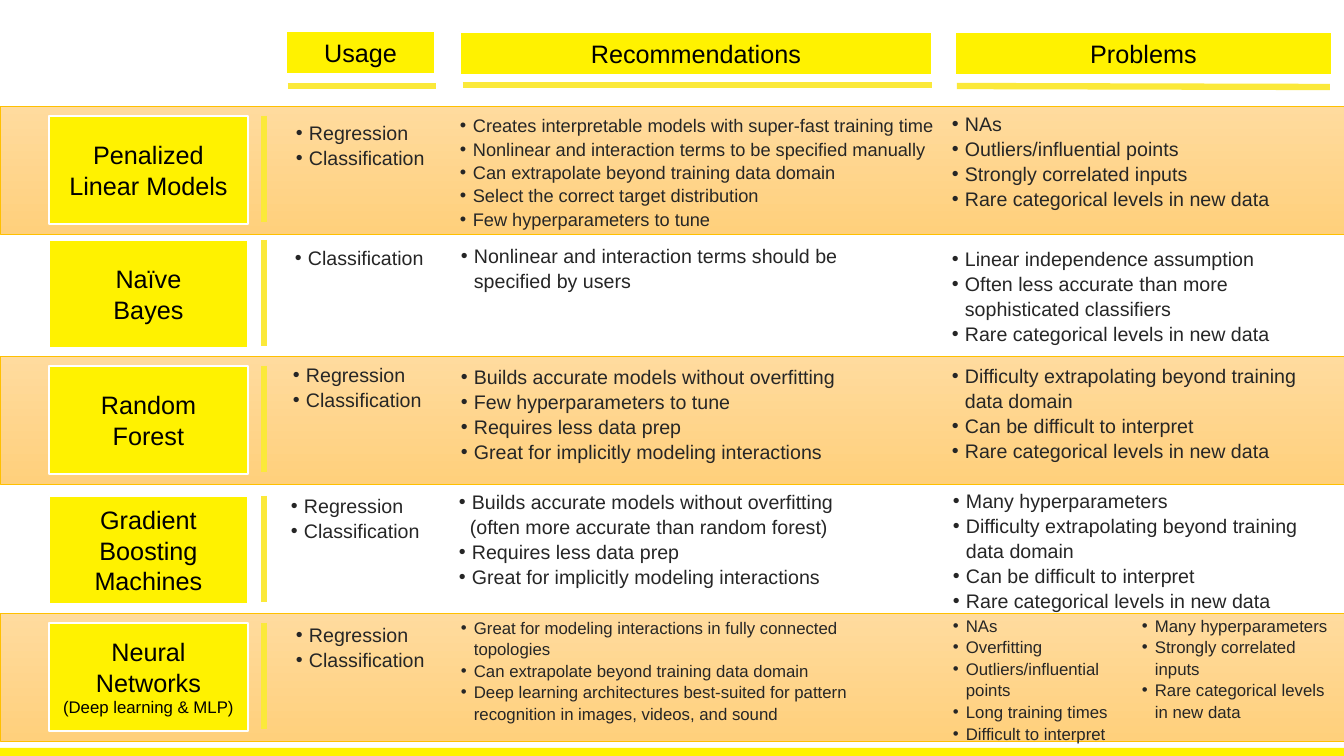
from lxml import etree
from pptx import Presentation, util as u
from pptx.dml.color import RGBColor
from pptx.enum import shapes, text
from pptx.oxml.ns import qn

SCALE = 914400 / 100.8
YELLOW, RULE, INK = "FFF200", "FBE93A", "262626"
RARE = "Rare categorical levels in new data"
EXTRAPOLATING = "Difficulty extrapolating beyond training data domain"
INTERPRET = "Can be difficult to interpret"
ACCURATE = "Builds accurate models without overfitting"
IMPLICIT = "Great for implicitly modeling interactions"
BOTH = ["Regression", "Classification"]


def px(value):
    return u.Emu(round(value * SCALE))


def color(value):
    return RGBColor.from_string(value)


class Sheet:
    font = "Arial"
    indent = 13

    def __init__(self, slide):
        self.slide = slide

    def run(self, paragraph, words, size, ink):
        run = paragraph.add_run()
        run.text = words
        run.font.name = self.font
        run.font.size = u.Pt(size)
        run.font.color.rgb = color(ink)

    def box(self, left, top, width, height, line=None, weight=0):
        shape = self.slide.shapes.add_shape(
            shapes.MSO_SHAPE.RECTANGLE, px(left), px(top), px(width), px(height))
        shape.shadow.inherit = False
        shape.fill.solid()
        shape.fill.fore_color.rgb = color(YELLOW)
        if line:
            shape.line.color.rgb = color(line)
            shape.line.width = u.Pt(weight)
        else:
            shape.line.fill.background()
        return shape

    def band(self, top):
        shape = self.box(0, top, 1344, 128, "FFC000", 0.5)
        shape.fill.gradient()
        shape.fill.gradient_angle = 270
        for stop, value in zip(shape.fill.gradient_stops, ("FFDB9E", "FFD07C")):
            stop.color.rgb = color(value)

    def label(self, left, top, width, height, lines):
        frame = self.box(left, top, width, height, "FFFFFF", 1.5).text_frame
        frame.margin_left = frame.margin_right = 0
        frame.margin_top = frame.margin_bottom = 0
        frame.vertical_anchor = text.MSO_ANCHOR.MIDDLE
        for index, words in enumerate(lines):
            paragraph = frame.add_paragraph() if index else frame.paragraphs[0]
            paragraph.alignment = text.PP_ALIGN.CENTER
            self.run(paragraph, words, 12 if words.startswith("(") else 18, "000000")

    def rule(self, x1, y1, x2, y2):
        connector = self.slide.shapes.add_connector(
            shapes.MSO_CONNECTOR.STRAIGHT, px(x1), px(y1), px(x2), px(y2))
        connector.line.color.rgb = color(RULE)
        connector.line.width = u.Pt(4.5)
        etree.SubElement(connector.element.spPr, qn("a:effectLst"))

    def bullets(self, left, top, width, height, items, size=14):
        shape = self.slide.shapes.add_textbox(px(left), px(top), px(width), px(height))
        frame = shape.text_frame
        frame.word_wrap = True
        frame.auto_size = text.MSO_AUTO_SIZE.SHAPE_TO_FIT_TEXT
        for index, words in enumerate(items):
            paragraph = frame.add_paragraph() if index else frame.paragraphs[0]
            paragraph.line_spacing = 1.07
            properties = paragraph._p.get_or_add_pPr()
            if words.startswith("("):
                properties.set("marL", str(px(11)))
                properties.set("indent", "0")
            else:
                properties.set("marL", str(px(self.indent)))
                properties.set("indent", str(-px(self.indent)))
                etree.SubElement(properties, qn("a:buFont"), typeface=self.font)
                etree.SubElement(properties, qn("a:buChar"), char="•")
            self.run(paragraph, words, size, INK)


HEADERS = [
    ("Usage", (286, 31, 149, 43), (288, 86, 436, 86)),
    ("Recommendations", (460, 32, 472, 43), (463, 85, 932, 85)),
    ("Problems", (955, 32, 377, 43), (957, 86, 1330, 87)),
]

MODELS = [
    (116, ["Penalized", "Linear Models"], [
        (286, 114, 149, 92, BOTH),
        (450, 108, 510, 128, [
            "Creates interpretable models with super-fast training time",
            "Nonlinear and interaction terms to be specified manually",
            "Can extrapolate beyond training data domain",
            "Select the correct target distribution",
            "Few hyperparameters to tune"], 13),
        (942, 105, 399, 112, [
            "NAs", "Outliers/influential points", "Strongly correlated inputs", RARE]),
    ]),
    (240, ["Naïve", "Bayes"], [
        (285, 239, 149, 67, BOTH[1:]),
        (451, 237, 472, 61, [
            "Nonlinear and interaction terms should be specified by users"]),
        (942, 240, 399, 112, [
            "Linear independence assumption",
            "Often less accurate than more sophisticated classifiers", RARE]),
    ]),
    (366, ["Random", "Forest"], [
        (283, 356, 149, 92, BOTH),
        (451, 358, 472, 112, [
            ACCURATE, "Few hyperparameters to tune", "Requires less data prep", IMPLICIT]),
        (942, 357, 399, 112, [EXTRAPOLATING, INTERPRET, RARE]),
    ]),
    (496, ["Gradient", "Boosting", "Machines"], [
        (281, 487, 149, 92, BOTH),
        (449, 483, 472, 112, [
            ACCURATE, "(often more accurate than random forest)",
            "Requires less data prep", IMPLICIT]),
        (943, 482, 378, 162, ["Many hyperparameters", EXTRAPOLATING, INTERPRET, RARE]),
    ]),
    (623, ["Neural", "Networks", "(Deep learning & MLP)"], [
        (286, 616, 149, 92, BOTH),
        (451, 611, 472, 144, [
            "Great for modeling interactions in fully connected topologies",
            "Can extrapolate beyond training data domain",
            "Deep learning architectures best-suited for pattern "
            "recognition in images, videos, and sound"], 12),
        (943, 609, 212, 119, [
            "NAs", "Overfitting", "Outliers/influential points", "Long training times"], 12),
        (1132, 609, 210, 141, [
            "Many hyperparameters", "Strongly correlated inputs", RARE], 12),
        (943, 717, 210, 32, ["Difficult to interpret"], 12),
    ]),
]

presentation = Presentation()
presentation.slide_width = px(1344)
presentation.slide_height = px(756)
sheet = Sheet(presentation.slides.add_slide(presentation.slide_layouts[6]))

for band_top in (106, 356, 613):
    sheet.band(band_top)
sheet.box(0, 748, 1344, 8)

for name, place, underline in HEADERS:
    sheet.label(*place, [name])
    sheet.rule(*underline)

for label_top, model, lists in MODELS:
    sheet.label(49, label_top, 199, 108, model)
    sheet.rule(264, label_top, 264, label_top + 106)
    for entry in lists:
        sheet.bullets(*entry)

presentation.save("out.pptx")
